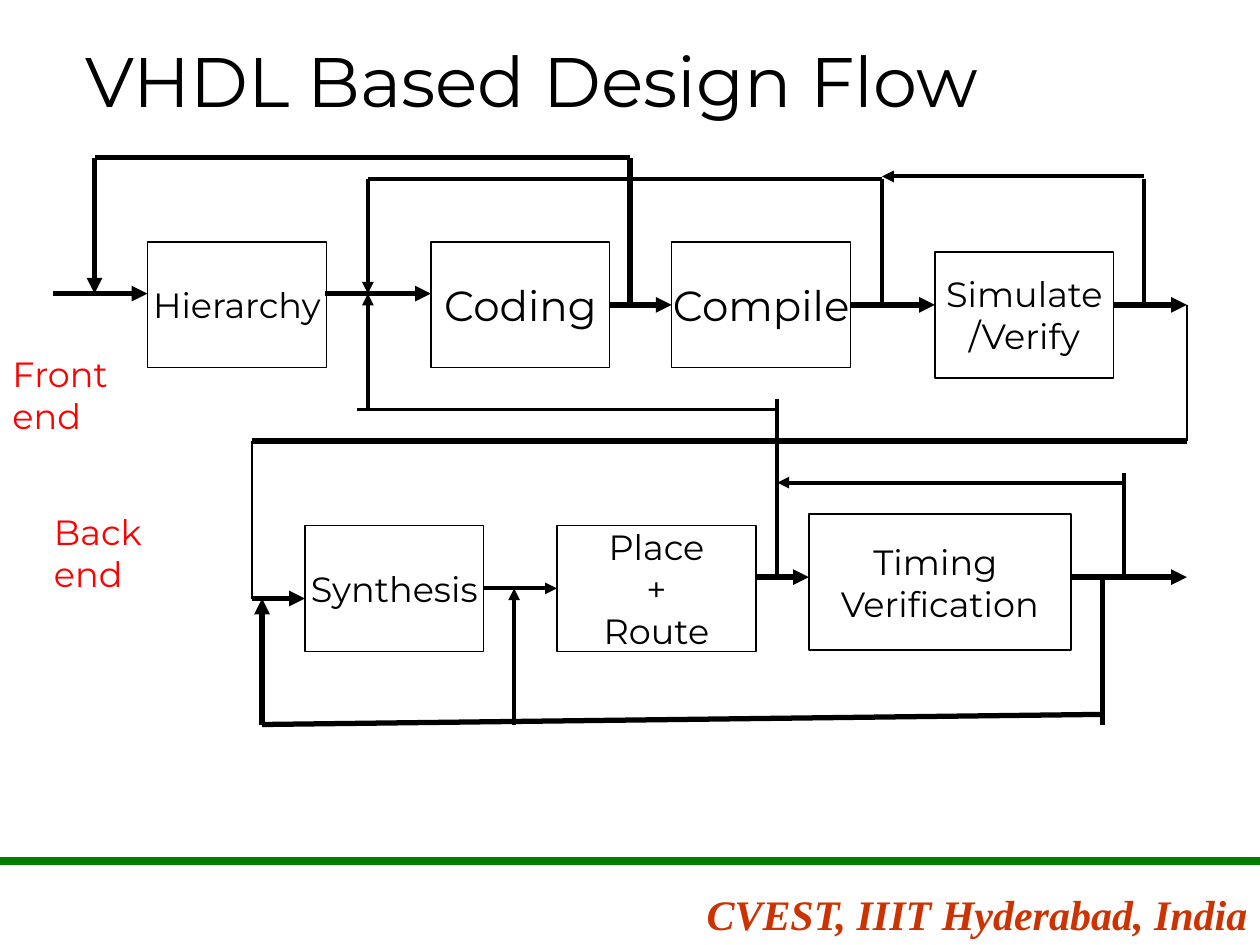
"""Build the VHDL based design flow slide with its front end and back end stages."""
from itertools import pairwise

from lxml.etree import SubElement
from pptx import Presentation
from pptx.dml.color import RGBColor as RGB
from pptx.enum.shapes import MSO_CONNECTOR as CONN, MSO_SHAPE as SHAPE
from pptx.enum.text import MSO_ANCHOR as ANCHOR, MSO_AUTO_SIZE as AUTO, PP_ALIGN as ALIGN
from pptx.oxml.ns import qn
from pptx.util import Inches, Pt

THEME = {
    "font": "Montserrat", "footer_font": "Times New Roman",
    "ink": RGB(0, 0, 0), "paper": RGB(255, 255, 255), "label": RGB(255, 0, 0),
    "rule": RGB(0, 128, 0), "footer": RGB(204, 51, 0),
    "title_pt": 40, "large_pt": 24, "body_pt": 20,
    "thin": 0.75, "medium": 2.25, "thick": 3, "rule_pt": 4.5,
}

TITLE = "VHDL Based Design Flow"
FOOTER = "CVEST, IIIT Hyderabad, India"
LABELS = [("Front end", (0, 2.75, 1.08, 0.77)), ("Back end", (0.33, 4, 1.42, 0.44))]
STAGES = [
    (["Hierarchy"], "body_pt", (1.17, 1.92, 1.42, 1)),
    (["Coding"], "large_pt", (3.42, 1.92, 1.42, 1)),
    (["Compile"], "large_pt", (5.33, 1.92, 1.42, 1)),
    (["Simulate", "/Verify"], "body_pt", (7.42, 2, 1.42, 1)),
    (["Synthesis"], "body_pt", (2.42, 4.17, 1.42, 1)),
    (["Place", "+", "Route"], "body_pt", (4.42, 4.17, 1.58, 1)),
    (["Timing ", "Verification"], "body_pt", (6.42, 4.08, 2.08, 1.08)),
]
ARROWS = [
    ("thick", [(0.42, 2.33), (1.17, 2.33)]),
    ("thick", [(2.58, 2.33), (3.42, 2.33)]),
    ("thick", [(4.83, 2.42), (5.33, 2.42)]),
    ("thick", [(6.75, 2.42), (7.42, 2.42)]),
    ("thick", [(8.83, 2.42), (9.42, 2.42)]),
    ("thick", [(2, 4.75), (2.42, 4.75)]),
    ("medium", [(3.83, 4.67), (4.42, 4.67)]),
    ("thick", [(6, 4.58), (6.42, 4.58)]),
    ("thick", [(8.5, 4.58), (9.42, 4.58)]),
    ("thick", [(5, 2.42), (5, 1.25), (0.75, 1.25), (0.75, 2.33)]),
    ("medium", [(7, 2.42), (7, 1.42), (2.92, 1.42), (2.92, 2.33)]),
    ("medium", [(9.08, 1.4), (7, 1.4)]),
    ("medium", [(2.92, 3.25), (2.92, 2.33)]),
    ("medium", [(8.92, 3.83), (6.17, 3.83)]),
    ("thick", [(8.75, 5.67), (2.08, 5.75), (2.08, 4.75)]),
    ("medium", [(4.08, 5.75), (4.08, 4.67)]),
]
LINES = [
    ("thin", [(9.42, 2.42), (9.42, 3.5)]),
    ("thick", [(9.42, 3.5), (2, 3.5)]),
    ("thin", [(2, 3.5), (2, 4.75)]),
    ("medium", [(9.08, 2.42), (9.08, 1.42)]),
    ("medium", [(6.17, 4.58), (6.17, 3.17)]),
    ("medium", [(6.17, 3.25), (2.83, 3.25)]),
    ("medium", [(8.92, 4.58), (8.92, 3.75)]),
    ("thick", [(8.75, 4.58), (8.75, 5.75)]),
]


def write(sp, lines, size, color="ink", font="font", align=ALIGN.LEFT, anchor=ANCHOR.TOP,
          wrap=True, emphasis=False):
    tf = sp.text_frame
    tf.auto_size, tf.word_wrap, tf.vertical_anchor = AUTO.NONE, wrap, anchor
    for i, line in enumerate(lines):
        p = tf.add_paragraph() if i else tf.paragraphs[0]
        p.alignment = align
        r = p.add_run()
        r.text = line
        r.font.name, r.font.size = THEME[font], Pt(THEME[size])
        r.font.color.rgb = THEME[color]
        r.font.bold = r.font.italic = emphasis


def add_route(s, weight, points, arrow=False, color="ink"):
    for start, end in pairwise(points):
        c = s.shapes.add_connector(CONN.STRAIGHT, *map(Inches, start + end))
        c.line.color.rgb, c.line.width = THEME[color], Pt(THEME[weight])
        sp_pr = c._element.spPr
        if arrow and end == points[-1]:
            SubElement(sp_pr.find(qn("a:ln")), qn("a:tailEnd"), type="triangle")
        SubElement(sp_pr, qn("a:effectLst"))


def add_stage(s, lines, size, box):
    sp = s.shapes.add_shape(SHAPE.RECTANGLE, *map(Inches, box))
    sp.shadow.inherit = False
    sp.fill.solid()
    sp.fill.fore_color.rgb = THEME["paper"]
    sp.line.color.rgb, sp.line.width = THEME["ink"], Pt(THEME["thin"])
    write(sp, lines, size, align=ALIGN.CENTER, anchor=ANCHOR.MIDDLE, wrap=False)


def main():
    prs = Presentation()
    prs.slide_width, prs.slide_height = Inches(10), Inches(7.5)
    s = prs.slides.add_slide(prs.slide_layouts[5])
    title = s.shapes.title
    title.left, title.top, title.width, title.height = map(Inches, (0.58, 0.25, 8.83, 0.77))
    write(title, [TITLE], "title_pt")
    for stage in STAGES:
        add_stage(s, *stage)
    for weight, points in ARROWS:
        add_route(s, weight, points, arrow=True)
    for weight, points in LINES:
        add_route(s, weight, points)
    for text, box in LABELS:
        write(s.shapes.add_textbox(*map(Inches, box)), [text], "body_pt", "label")
    add_route(s, "rule_pt", [(0, 6.83), (10, 6.83)], color="rule")
    footer = s.shapes.add_textbox(*map(Inches, (3.58, 7, 6.42, 0.5)))
    write(footer, [FOOTER], "large_pt", "footer", "footer_font", ALIGN.RIGHT, emphasis=True)
    prs.save("out.pptx")


if __name__ == "__main__":
    main()
